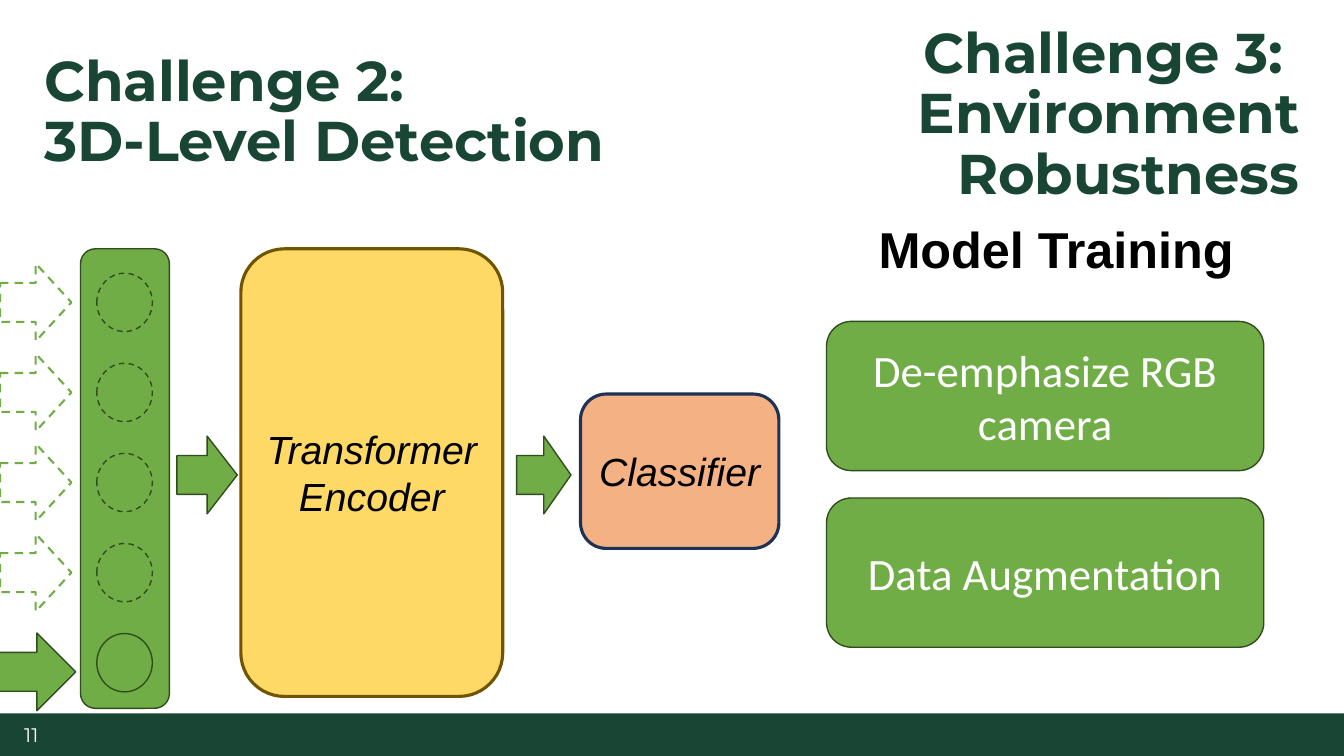
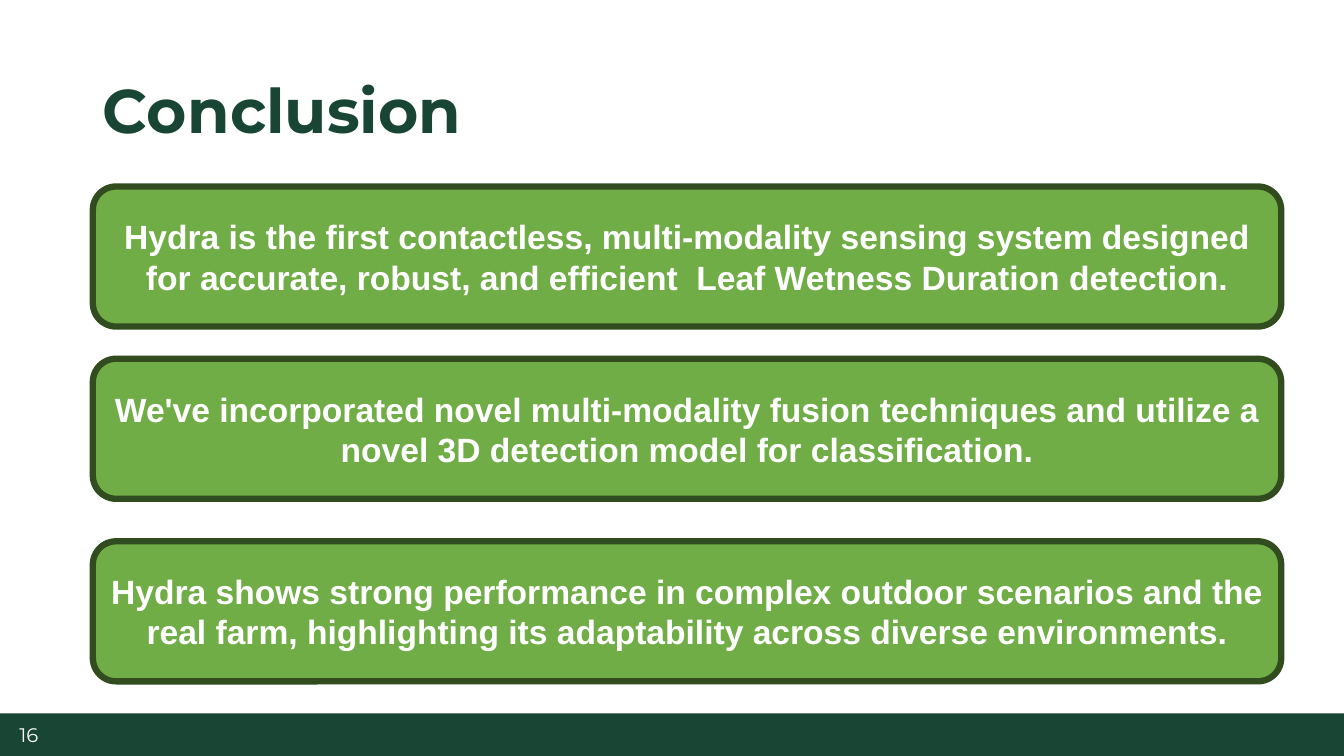
from dataclasses import dataclass

from pptx import Presentation
from pptx.dml.color import RGBColor
from pptx.enum.dml import MSO_LINE
from pptx.enum.shapes import MSO_SHAPE as SHAPE
from pptx.enum.text import MSO_ANCHOR as ANCHOR, MSO_AUTO_SIZE as AUTO, PP_ALIGN as ALIGN
from pptx.util import Cm, Pt


@dataclass(frozen=True)
class Theme:
    # Colours
    dark: str = "184534"
    green: str = "70AD47"
    green_line: str = "314C1F"
    yellow: str = "FFD966"
    yellow_line: str = "705400"
    orange: str = "F4B183"
    navy: str = "1E3256"
    white: str = "FFFFFF"
    black: str = "000000"
    # Fonts
    heading: str = "Montserrat"
    body: str = "Arial"
    label: str = "Calibri"
    # Type sizes in points
    title: int = 44
    challenge: int = 40
    subtitle: int = 36
    card: int = 32
    block: int = 28
    statement: int = 24
    number: int = 14


T = Theme()
BAND_TOP, BAND_H = 17.98, 1.07
SLIDE_W, SLIDE_H = 33.87, 19.05


def set_text(sp, paragraphs, *, size, font=T.body, color=T.white, bold=False,
             italic=False, align=ALIGN.CENTER, anchor=ANCHOR.MIDDLE, spacing=1.0):
    """Fill a shape with one paragraph per string."""
    if isinstance(paragraphs, str):
        paragraphs = [paragraphs]
    tf = sp.text_frame
    tf.word_wrap = True
    tf.auto_size = AUTO.NONE
    tf.vertical_anchor = anchor
    for i, text in enumerate(paragraphs):
        p = tf.add_paragraph() if i else tf.paragraphs[0]
        p.text = text
        p.alignment = align
        p.line_spacing = spacing
        for r in p.runs:
            r.font.name = font
            r.font.size = Pt(size)
            r.font.bold = bold
            r.font.italic = italic
            r.font.color.rgb = RGBColor.from_string(color)


def add_box(s, kind, left, top, width, height, fill=T.green, line=T.green_line,
            weight=1, dashed=False):
    sp = s.shapes.add_shape(kind, Cm(left), Cm(top), Cm(width), Cm(height))
    sp.shadow.inherit = False
    if fill:
        sp.fill.solid()
        sp.fill.fore_color.rgb = RGBColor.from_string(fill)
    else:
        sp.fill.background()
    if line:
        sp.line.color.rgb = RGBColor.from_string(line)
        sp.line.width = Pt(weight)
    else:
        sp.line.fill.background()
    if dashed:
        sp.line.dash_style = MSO_LINE.DASH
    return sp


def add_arrow(s, left, center_y, width, **style):
    height = 1.96
    return add_box(s, SHAPE.RIGHT_ARROW, left, center_y - height / 2, width, height, **style)


def add_text(s, paragraphs, left, top, width, height, **style):
    sp = s.shapes.add_textbox(Cm(left), Cm(top), Cm(width), Cm(height))
    set_text(sp, paragraphs, **style)


def set_heading(sp, paragraphs, size, align=ALIGN.LEFT):
    set_text(sp, paragraphs, size=size, font=T.heading, color=T.dark,
             bold=True, align=align, spacing=0.9)


def add_slide(prs, title, number, left, width, size):
    """Title-only slide with its heading and slide number."""
    s = prs.slides.add_slide(prs.slide_layouts[5])
    sp = s.shapes.title
    sp.left, sp.top, sp.width, sp.height = Cm(left), Cm(1.02), Cm(width), Cm(3.68)
    set_heading(sp, title, size)
    add_text(s, number, 0, 18.01, 1.22, 1.02, size=T.number,
             font=T.heading, align=ALIGN.RIGHT)
    return s


def add_layout_band(s):
    """Put the footer band on the layout that all slides share."""
    band = add_box(s, SHAPE.RECTANGLE, 0, BAND_TOP, SLIDE_W, BAND_H, T.dark, None)
    s.slide_layout.shapes._spTree.insert(2, band._element)


def build_challenges(prs):
    s = add_slide(prs, "Challenge 2: \v3D-Level Detection", "11", 0.86, 17.35, T.challenge)
    add_layout_band(s)

    # Feature column: four dashed inputs and one solid input
    add_box(s, SHAPE.ROUNDED_RECTANGLE, 2.03, 6.27, 2.24, 11.58)
    count, first_y, step, node_h = 5, 7.62, 2.27, 1.47
    for i in range(count):
        y = first_y + i * step
        pending = i < count - 1
        add_box(s, SHAPE.OVAL, 2.44, y - node_h / 2, 1.4, node_h, dashed=pending)
        if pending:
            add_arrow(s, 0, y, 1.8, fill=None, line=T.green, weight=1.5, dashed=True)
    add_arrow(s, -1.27, 16.93, 3.18)

    # Encoder and classifier
    flow_y = 11.97
    add_arrow(s, 4.46, flow_y, 1.52)
    add_arrow(s, 13.02, flow_y, 1.37)
    blocks = [
        ("Transformer Encoder", (6.07, 6.27, 6.6, 11.28), T.yellow, T.yellow_line),
        ("Classifier", (14.63, 9.93, 5, 3.89), T.orange, T.navy),
    ]
    for text, place, fill, line in blocks:
        sp = add_box(s, SHAPE.ROUNDED_RECTANGLE, *place, fill, line, 2.25)
        set_text(sp, text, size=T.block, color=T.black, italic=True)

    # Environment robustness
    sp = s.shapes.add_textbox(Cm(14.71), Cm(1.07), Cm(18.29), Cm(3.68))
    set_heading(sp, ["Challenge 3: ", "Environment Robustness"], T.challenge, ALIGN.RIGHT)
    add_text(s, "Model Training", 21.89, 5.38, 10.67, 1.8, size=T.subtitle,
             color=T.black, bold=True, align=ALIGN.LEFT, anchor=ANCHOR.TOP)
    for i, text in enumerate(["De-emphasize RGB camera", "Data Augmentation"]):
        sp = add_box(s, SHAPE.ROUNDED_RECTANGLE, 20.83, 8.1 + i * 4.45, 11.02, 3.76)
        set_text(sp, text, size=T.card, font=T.label)


def build_conclusion(prs):
    s = add_slide(prs, "Conclusion", "16", 2.34, 29.21, T.title)
    statements = [
        (4.7, "Hydra is the first contactless, multi-modality sensing system designed "
              "for accurate, robust, and efficient  Leaf Wetness Duration detection."),
        (9.04, "We've incorporated novel multi-modality fusion techniques and utilize a "
               "novel 3D detection model for classification."),
        (13.64, "Hydra shows strong performance in complex outdoor scenarios and the "
                "real farm, highlighting its adaptability across diverse environments."),
    ]
    for top, text in statements:
        sp = add_box(s, SHAPE.ROUNDED_RECTANGLE, 2.34, top, 29.95, 3.53, weight=4.5)
        set_text(sp, text, size=T.statement, bold=True)


def main():
    prs = Presentation()
    prs.slide_width, prs.slide_height = Cm(SLIDE_W), Cm(SLIDE_H)
    build_challenges(prs)
    build_conclusion(prs)
    prs.save("out.pptx")


if __name__ == "__main__":
    main()
